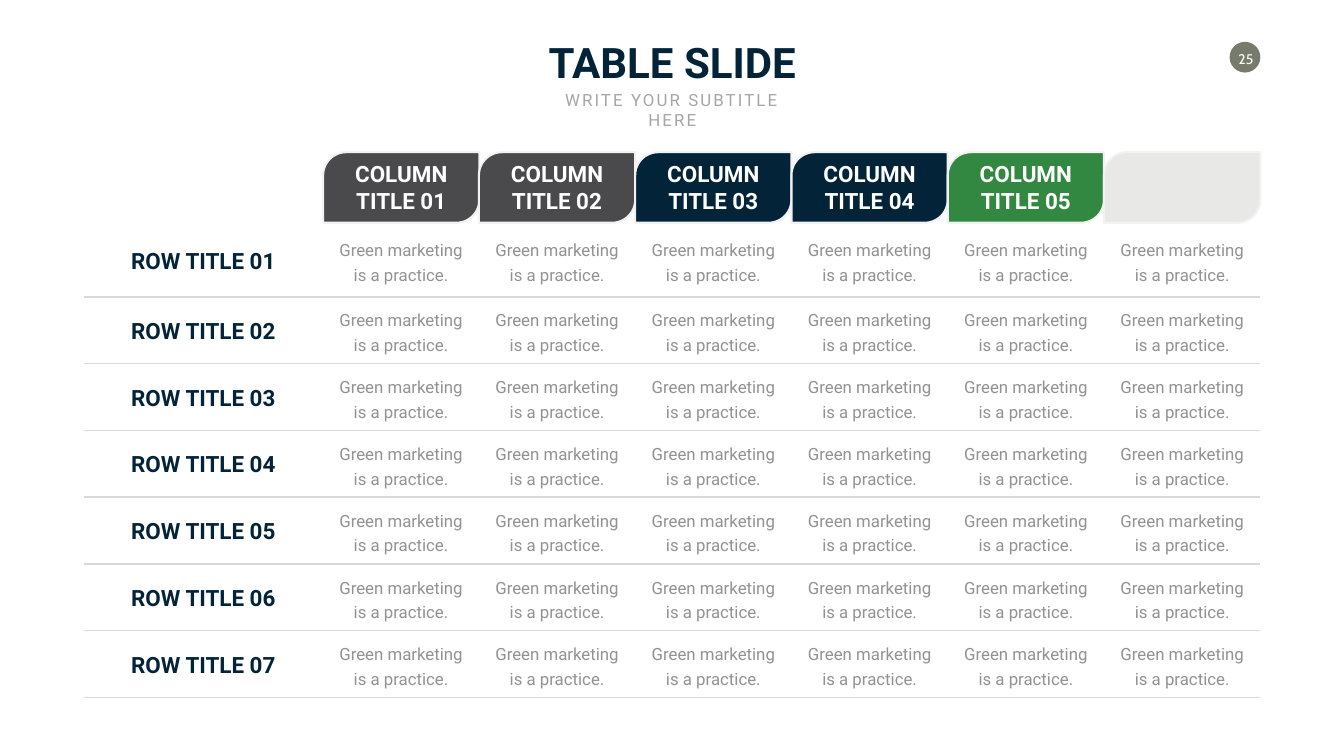
from lxml.etree import SubElement
from pptx import Presentation
from pptx.dml.color import RGBColor
from pptx.enum.shapes import MSO_CONNECTOR as Connector, MSO_SHAPE as Shape
from pptx.enum.text import MSO_ANCHOR as Anchor, PP_ALIGN as Align
from pptx.oxml.ns import qn
from pptx.util import Pt

PX = 9144
NO_GRID_STYLE = "{2D5ABB26-0587-4C30-8999-92F81FD0307C}"
COLORS = {
    "navy": "022338",
    "charcoal": "4A4A4C",
    "green": "328840",
    "pale": "E8E9E6",
    "olive": "767B6C",
    "edge": "F2F2F2",
    "rule": "D9D9D9",
    "subtitle": "A6A6A6",
    "body": "929294",
    "white": "FFFFFF",
}


def px(*lengths):
    return [length * PX for length in lengths]


def rgb(name):
    return RGBColor.from_string(COLORS[name])


def gaps(edges):
    return [end - start for start, end in zip(edges, edges[1:])]


def write(frame, text, size, color, font="Roboto", bold=False, leading=None, tracking=None):
    paragraph = frame.paragraphs[0]
    paragraph.alignment = Align.CENTER
    paragraph.space_before = Pt(0)
    if leading:
        paragraph.line_spacing = Pt(leading)
    run = paragraph.add_run()
    run.text = text
    run.font.name = font
    run.font.size = Pt(size)
    run.font.bold = bold
    run.font.color.rgb = rgb(color)
    if tracking:
        run.font._element.set("spc", str(tracking * 100))


class TableSlide:
    def __init__(self, slide):
        self.slide = slide
        self.heading = {"size": 32, "bold": True}
        self.body = {"size": 24, "color": "body", "leading": 35}

    def placeholder(self, index, text, box, wrap, **style):
        holder = self.slide.placeholders[index]
        holder.left, holder.top, holder.width, holder.height = px(*box)
        frame = holder.text_frame
        frame.word_wrap = wrap
        frame.vertical_anchor = Anchor.TOP
        write(frame, text, **style)

    def shape(self, preset, box, fill):
        shape = self.slide.shapes.add_shape(preset, *px(*box))
        shape.shadow.inherit = False
        shape.fill.solid()
        shape.fill.fore_color.rgb = rgb(fill)
        shape.line.fill.background()
        return shape

    def label(self, shape, text, insets, wrap, **style):
        frame = shape.text_frame
        frame.word_wrap = wrap
        frame.vertical_anchor = Anchor.MIDDLE
        frame.margin_left, frame.margin_top, frame.margin_right, frame.margin_bottom = px(*insets)
        write(frame, text, color="white", **style)

    def tab(self, box, fill):
        tab = self.shape(Shape.ROUND_2_DIAG_RECTANGLE, box, fill)
        tab.adjustments[0] = 0.326
        tab.line.color.rgb = rgb("edge")
        tab.line.width = Pt(3)
        return tab

    def rule(self, left, right, y):
        rule = self.slide.shapes.add_connector(Connector.STRAIGHT, *px(left, y, right, y))
        rule.line.color.rgb = rgb("rule")
        rule.line.width = Pt(2.25)
        SubElement(rule._element.spPr, qn("a:effectLst"))

    def table(self, rows, columns, edges):
        widths, heights = gaps(columns), gaps(edges)
        box = px(columns[0], edges[0], sum(widths), sum(heights))
        table = self.slide.shapes.add_table(len(rows), len(widths), *box).table
        table.first_row = table.horz_banding = False
        table._tbl.tblPr.find(qn("a:tableStyleId")).text = NO_GRID_STYLE
        for column, width in zip(table.columns, px(*widths)):
            column.width = width
        for row, height, texts in zip(table.rows, px(*heights), rows):
            row.height = height
            title, *practices = zip(row.cells, texts)
            self.cell(*title, 11, color="navy", **self.heading)
            for practice in practices:
                self.cell(*practice, 9, **self.body)

    def cell(self, cell, text, top, **style):
        cell.vertical_anchor = Anchor.MIDDLE
        cell.margin_left, cell.margin_right, cell.margin_top, cell.margin_bottom = px(25, 25, top, 5)
        cell.fill.background()
        write(cell.text_frame, text, **style)


def main():
    deck = Presentation()
    deck.slide_width, deck.slide_height = px(2666, 1500)
    page = TableSlide(deck.slides.add_slide(deck.slide_layouts[0]))

    page.placeholder(0, "TABLE SLIDE", (1076, 67, 515, 111), False,
                     size=60, color="navy", bold=True)
    page.placeholder(1, "WRITE YOUR SUBTITLE HERE", (1062, 172, 543, 50), True,
                     size=24, color="subtitle", tracking=3)
    page_badge = page.shape(Shape.OVAL, (2439, 83, 61, 61), "olive")
    page.label(page_badge, "25", (4, 5, 0, 0), False, size=20, font="Cabin")

    left, right = 166, 2500
    tab_fills = ["charcoal", "charcoal", "navy", "navy", "green", "pale"]
    tab_lefts = [641 + index * (right - 641) // len(tab_fills) for index in range(len(tab_fills))]
    for number, (tab_left, fill) in enumerate(zip(tab_lefts, tab_fills), 1):
        tab = page.tab((tab_left, 302, 310, 140), fill)
        if fill != "pale":
            page.label(tab, f"COLUMN TITLE {number:02}", (10, 0, 10, 0), True, **page.heading)

    practice = "Green marketing is a practice."
    rows = [[f"ROW TITLE {number:02}"] + [practice] * len(tab_fills) for number in range(1, 8)]
    rule_tops = [589 + index * 265 // 2 for index in range(len(rows))]
    for rule_top in rule_tops:
        page.rule(left, right, rule_top)
    page.table(rows, [left, *tab_lefts, right], [442, *rule_tops])

    deck.save("out.pptx")


if __name__ == "__main__":
    main()
